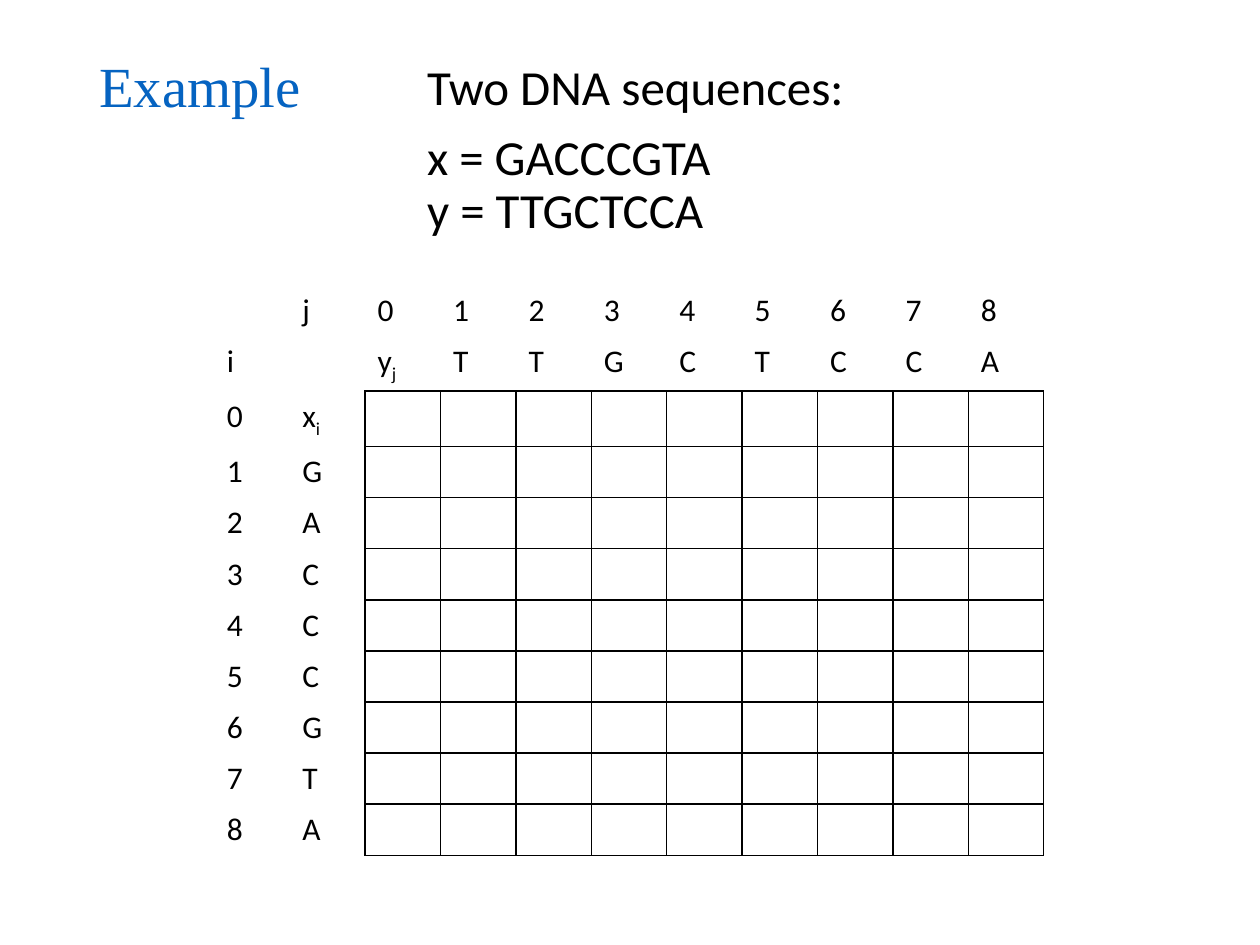
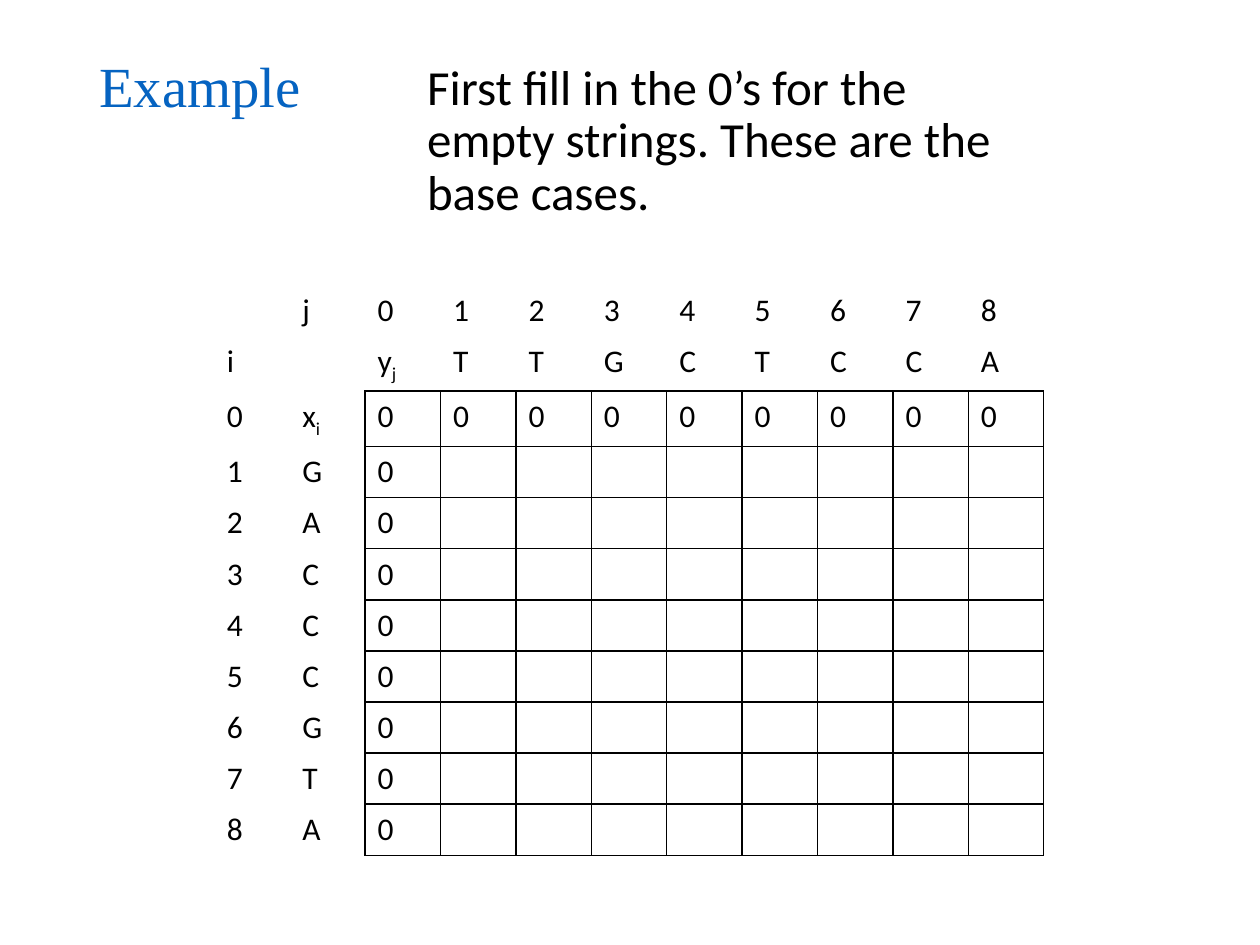
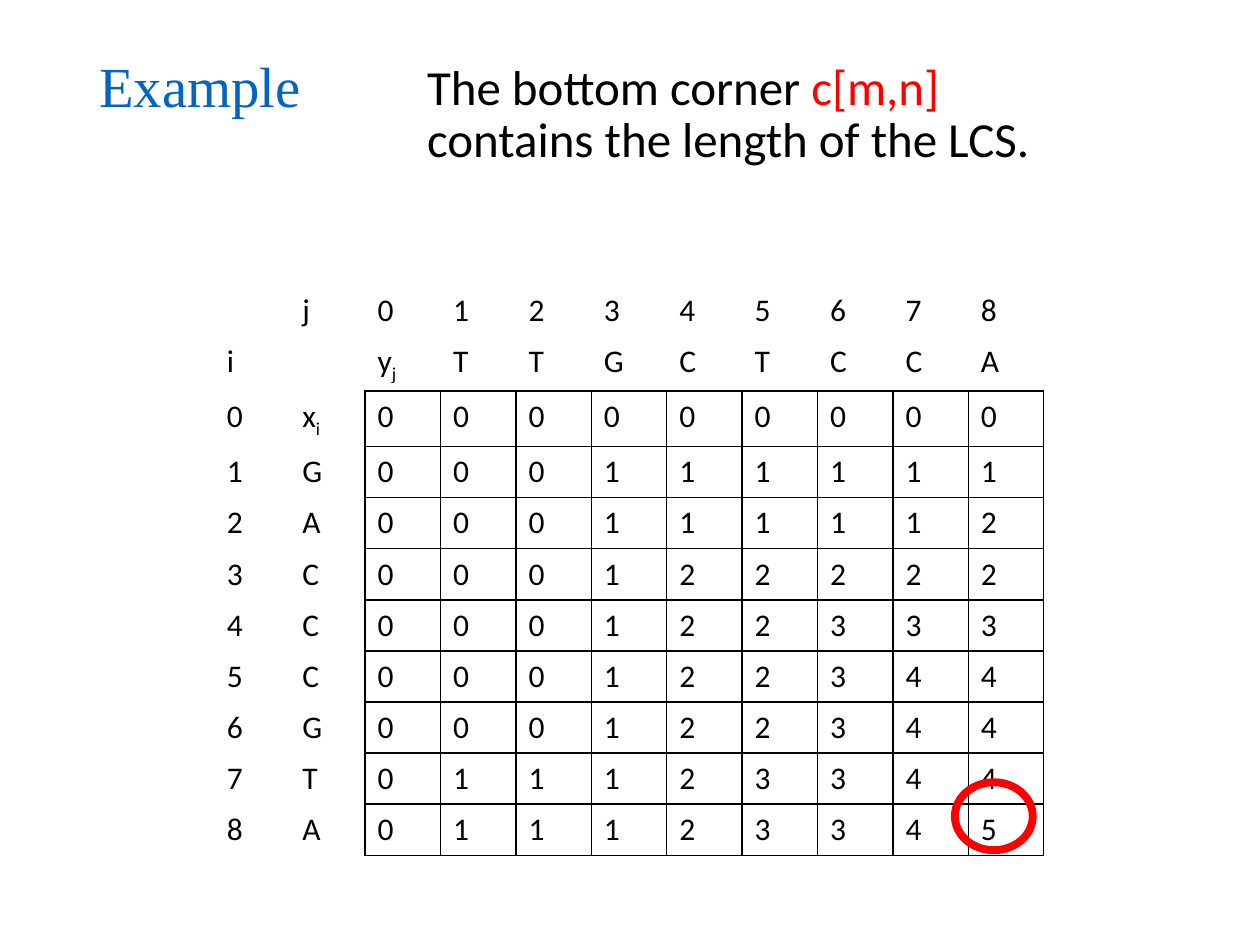
"""Build three slides that work through a longest common subsequence table."""
from lxml.etree import SubElement
from pptx import Presentation
from pptx.dml.color import RGBColor
from pptx.enum.shapes import MSO_SHAPE
from pptx.enum.text import MSO_ANCHOR
from pptx.oxml.ns import qn
from pptx.util import Cm, Pt

BLACK, BLUE, RED = "000000", "0563C1", "FF0000"
X, Y = "GACCCGTA", "TTGCTCCA"
NO_GRID_STYLE = "{2D5ABB26-0587-4C30-8999-92F81FD0307C}"
COLUMN_WIDTH, ROW_HEIGHT = Cm(1.52), Cm(1.02)


def add_run(paragraph, text, size, color=BLACK, font="Calibri"):
    run = paragraph.add_run()
    run.text = text
    for attribute, value in {"size": Pt(size), "name": font}.items():
        setattr(run.font, attribute, value)
    run.font.color.rgb = RGBColor.from_string(color)
    return run


def set_borders(cell, black_sides):
    properties = cell._tc.get_or_add_tcPr()
    for side in "LRTB":
        line = SubElement(properties, qn(f"a:ln{side}"), w=str(Pt(1)))
        if side in black_sides:
            fill = SubElement(line, qn("a:solidFill"))
            SubElement(fill, qn("a:srgbClr"), val=BLACK)
        else:
            SubElement(line, qn("a:noFill"))


size = len(X) + 1
lengths = [[0] * size for _ in range(size)]
for i, x in enumerate(X, 1):
    for j, y in enumerate(Y, 1):
        if x == y:
            lengths[i][j] = lengths[i - 1][j - 1] + 1
        else:
            lengths[i][j] = max(lengths[i - 1][j], lengths[i][j - 1])

empty = [[""] * size for _ in range(size)]
base_cases = [["" if i and j else 0 for j in range(size)] for i in range(size)]

steps = [
    {"explanation": [[("Two DNA sequences:", BLACK)],
                     [(f"x = {X}\ny = {Y}", BLACK)]],
     "extent": (Cm(12.73), Cm(4.01)), "values": empty},
    {"explanation": [[("First fill in the 0’s for the empty strings. "
                       "These are the base cases.", BLACK)]],
     "extent": (Cm(12.73), Cm(4.01)), "values": base_cases},
    {"explanation": [[("The bottom corner ", BLACK), ("c[m,n]", RED),
                      (" contains the length of the LCS.", BLACK)]],
     "extent": (Cm(14.17), Cm(3)), "values": lengths},
]

presentation = Presentation()
presentation.slide_width, presentation.slide_height = Cm(25.4), Cm(19.05)

for step in steps:
    slide = presentation.slides.add_slide(presentation.slide_layouts[5])

    title = slide.shapes.title
    place = {"left": Cm(1.75), "top": Cm(1.02), "width": Cm(21.89), "height": Cm(1.55)}
    for attribute, value in place.items():
        setattr(title, attribute, value)
    title.text_frame.vertical_anchor = MSO_ANCHOR.MIDDLE
    heading = title.text_frame.paragraphs[0]
    heading.alignment = 1
    heading.line_spacing = 0.9
    add_run(heading, "Example", 32.4, BLUE, "Times New Roman")

    rows = [["", "j", *range(size)], ["i", "", "yj", *Y]]
    for i, label in enumerate(["xi", *X]):
        rows.append([i, label, *step["values"][i]])
    count = len(rows)
    grid = slide.shapes.add_table(count, count, Cm(4.32), Cm(5.74),
                                  COLUMN_WIDTH * count, ROW_HEIGHT * count).table
    grid._tbl.tblPr.find(qn("a:tableStyleId")).text = NO_GRID_STYLE
    grid.first_row = grid.horz_banding = False
    for r, row in enumerate(rows):
        grid.rows[r].height = ROW_HEIGHT
        grid.columns[r].width = COLUMN_WIDTH
        for c, value in enumerate(row):
            cell = grid.cell(r, c)
            if r > 1 and c > 1:
                set_borders(cell, "LRTB")
            elif r == 1 and c > 1:
                set_borders(cell, "B")
            elif r > 1 and c == 1:
                set_borders(cell, "R")
            else:
                set_borders(cell, "")
            cell.fill.background()
            letter, subscript = str(value)[:1], str(value)[1:]
            entry = cell.text_frame.paragraphs[0]
            if letter:
                add_run(entry, letter, 18)
            if subscript:
                index = add_run(entry, subscript, 18)
                index._r.get_or_add_rPr().set("baseline", "-25000")

    explanation = slide.shapes.add_textbox(Cm(8.36), Cm(1.14), *step["extent"]).text_frame
    explanation.word_wrap = True
    for n, runs in enumerate(step["explanation"]):
        paragraph = explanation.add_paragraph() if n else explanation.paragraphs[0]
        paragraph.line_spacing = 0.9
        paragraph.space_before = Pt(10)
        for text, color in runs:
            for k, text_line in enumerate(text.split("\n")):
                if k:
                    paragraph.add_line_break()
                add_run(paragraph, text_line, 28, color)

answer_ring = slide.shapes.add_shape(MSO_SHAPE.OVAL, Cm(19.25), Cm(15.77), Cm(1.57), Cm(1.37))
answer_ring.shadow.inherit = False
answer_ring.fill.background()
answer_ring.line.color.rgb = RGBColor.from_string(RED)
answer_ring.line.width = Pt(4.5)

presentation.save("out.pptx")
